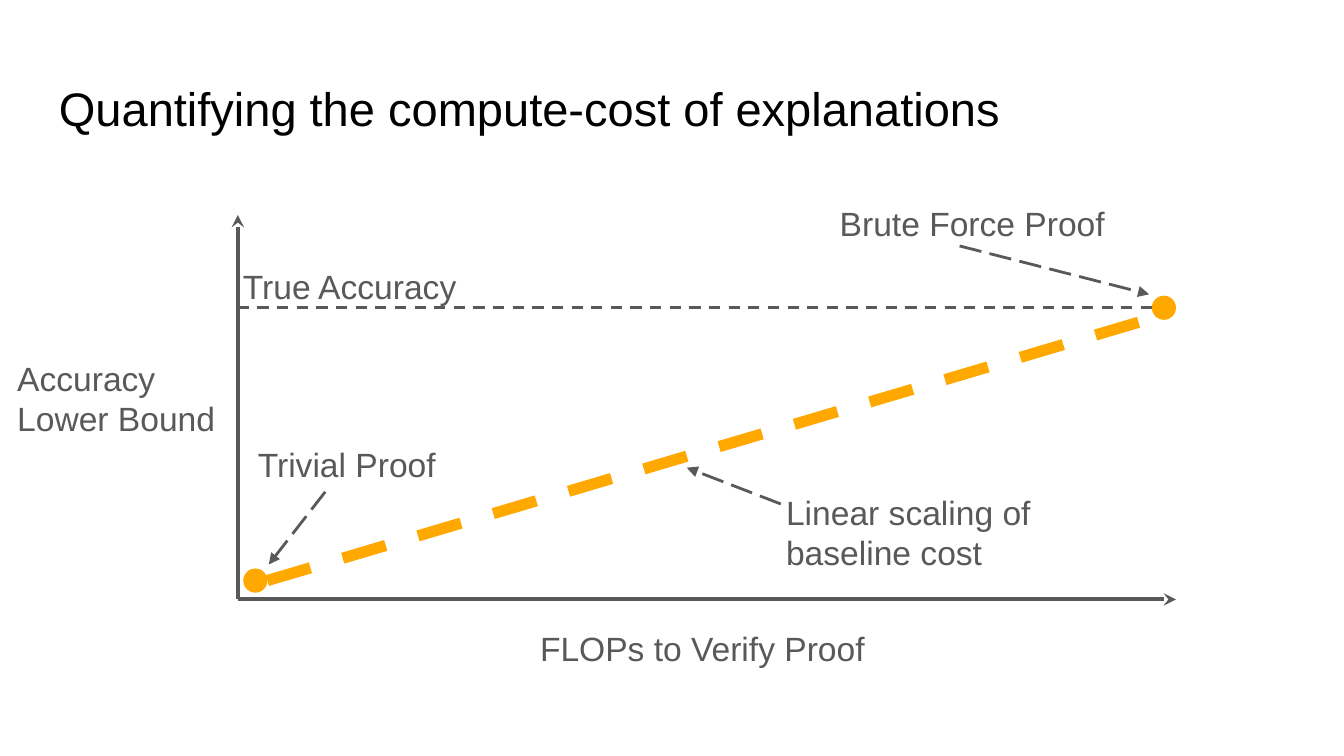
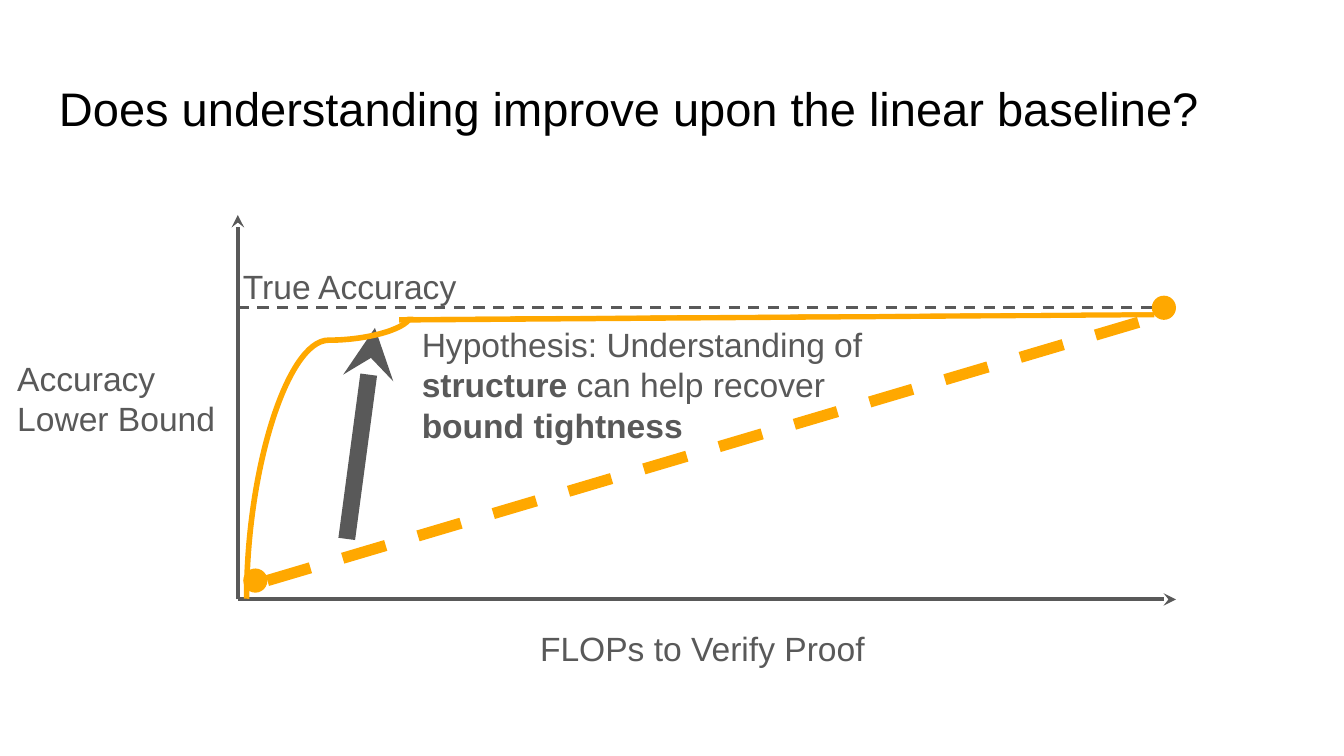
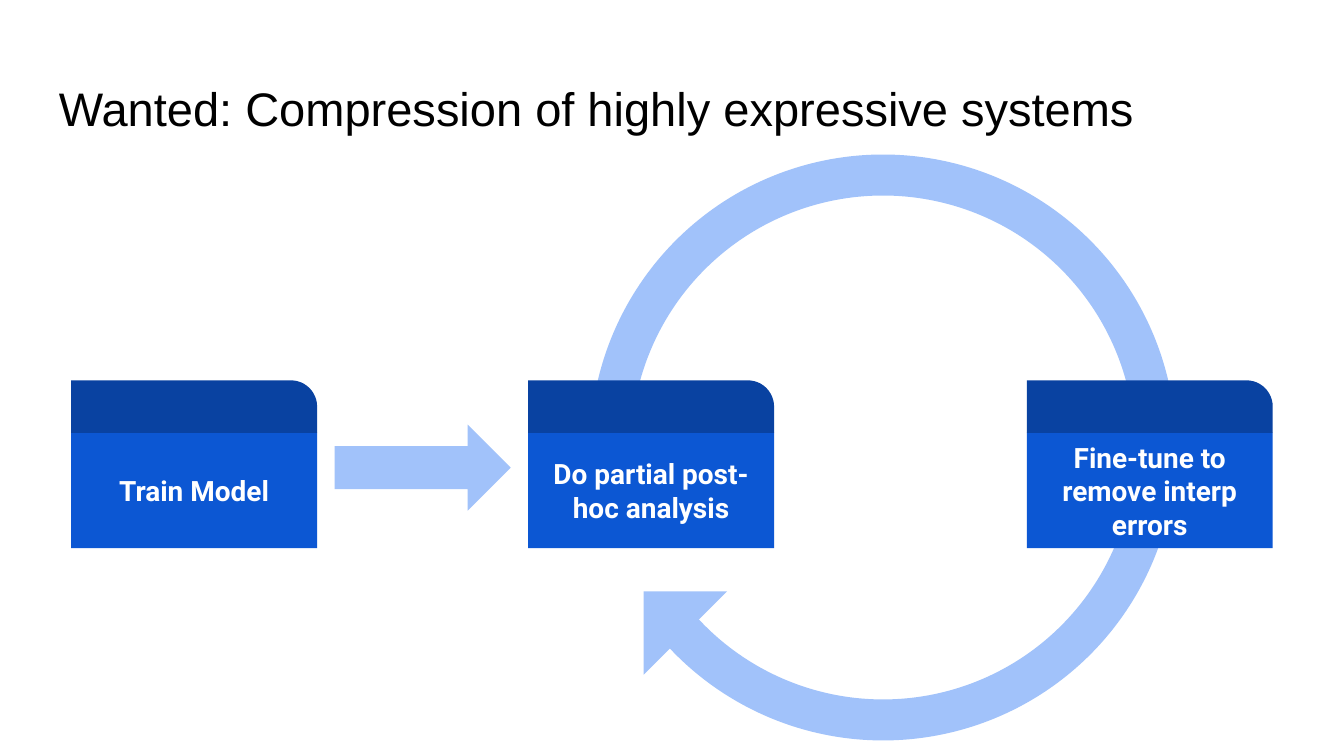
from dataclasses import dataclass
from typing import Optional

from lxml import etree
from pptx import Presentation
from pptx.dml.color import RGBColor
from pptx.enum import dml, shapes, text
from pptx.oxml.ns import qn
from pptx.util import Inches, Pt

BLACK = RGBColor(0x00, 0x00, 0x00)
WHITE = RGBColor(0xFF, 0xFF, 0xFF)
GRAY = RGBColor(0x59, 0x59, 0x59)
ORANGE = RGBColor(0xFF, 0xA8, 0x00)
PALE_BLUE = RGBColor(0xA1, 0xC2, 0xFA)
BLUE = RGBColor(0x0C, 0x57, 0xD3)
NAVY = RGBColor(0x09, 0x42, 0xA1)

BODY_FONT = "Arial"
STAGE_FONT = "Roboto"
INSET = Inches(0.1)
DASH = dml.MSO_LINE.DASH
LONG_DASH = dml.MSO_LINE.LONG_DASH
PRESET = shapes.MSO_SHAPE

SLIDE_WIDTH = Inches(10)
SLIDE_HEIGHT = SLIDE_WIDTH * 9 // 16

AXIS_X, AXIS_Y, AXIS_END = 1.77, 4.46, 8.75
DOT_SIZE = 0.18
STAGE_WIDTH, STAGE_TOP, TAB_HEIGHT, BODY_HEIGHT = 1.83, 2.83, 0.39, 0.86


@dataclass(frozen=True)
class Run:
    words: str
    bold: bool = False


@dataclass(frozen=True)
class Label:
    left: float
    top: float
    width: float
    height: float
    paragraphs: tuple[tuple[Run, ...], ...]


@dataclass(frozen=True)
class Stroke:
    start: tuple[float, float]
    end: tuple[float, float]
    color: RGBColor = GRAY
    width: float = 1.5
    dash: Optional[dml.MSO_LINE] = None
    arrowhead: Optional[str] = None


@dataclass(frozen=True)
class Stage:
    left: float
    caption: str


def line_of(words: str) -> tuple[Run, ...]:
    return (Run(words),)


def pointer(start: tuple[float, float], end: tuple[float, float]) -> Stroke:
    """Dashed arrow from a label to what it names."""
    return Stroke(start, end, dash=LONG_DASH, arrowhead="triangle")


AXES = (
    Stroke((AXIS_X, AXIS_Y), (AXIS_X, 1.6), width=2.25, arrowhead="stealth"),
    Stroke((AXIS_X, AXIS_Y), (AXIS_END, AXIS_Y), width=2.25, arrowhead="stealth"),
)
AXIS_LABELS = (
    Label(3.92, 4.57, 2.68, 0.5, (line_of("FLOPs to Verify Proof"),)),
    Label(0.03, 2.56, 1.74, 0.81, (line_of("Accuracy"), line_of("Lower Bound"))),
)
TRUE_ACCURACY_LABEL = Label(1.71, 1.88, 2.77, 0.5, (line_of("True Accuracy"),))
TRUE_ACCURACY = Stroke((AXIS_X, 2.29), (AXIS_END, 2.29), dash=DASH)
BASELINE = Stroke((1.99, 4.32), (8.6, 2.36), ORANGE, 6, DASH)
PROOF_DOTS = ((1.81, 4.23), (8.57, 2.2))

PROOF_LABELS = (
    Label(6.15, 1.41, 2.46, 0.5, (line_of("Brute Force Proof"),)),
    Label(1.82, 3.2, 1.85, 0.5, (line_of("Trivial Proof"),)),
    Label(5.75, 3.56, 2.68, 0.81, (line_of("Linear scaling of baseline cost"),)),
)
PROOF_POINTERS = (
    pointer((7.14, 1.83), (8.55, 2.19)),
    pointer((2.42, 3.66), (2, 4.2)),
    pointer((5.81, 3.75), (5.11, 3.48)),
)

HYPOTHESIS = Label(3.04, 2.31, 3.56, 1.11, (
    (Run("Hypothesis: Understanding of "), Run("structure", True),
     Run(" can help recover")),
    (Run("bound tightness", True),),
))
IMPROVEMENT = Stroke((2.58, 4.01), (2.79, 2.44), width=9, arrowhead="stealth")
CURVE_RISE = Stroke((1.39, 2.79), (3.5, 4.01), ORANGE, 3)
CURVE_PLATEAU = Stroke((2.97, 2.38), (8.59, 2.34), ORANGE, 3)
CURVE_GAP = Stroke((2.32, 2.34), (8.75, 2.3), WHITE, 3)

STAGES = (
    Stage(7.64, "Fine-tune to remove interp errors"),
    Stage(3.93, "Do partial post-hoc analysis"),
    Stage(0.53, "Train Model"),
)


def set_insets(frame) -> None:
    frame.word_wrap = True
    frame.margin_left = frame.margin_right = INSET
    frame.margin_top = frame.margin_bottom = INSET


def add_run(paragraph, run: Run, font: str, size: float, color: RGBColor) -> None:
    piece = paragraph.add_run()
    piece.text = run.words
    piece.font.name = font
    piece.font.size = Pt(size)
    piece.font.bold = run.bold
    piece.font.color.rgb = color


def draw_label(slide, label: Label, size: float = 18, color: RGBColor = GRAY) -> None:
    box = slide.shapes.add_textbox(Inches(label.left), Inches(label.top),
                                   Inches(label.width), Inches(label.height))
    frame = box.text_frame
    set_insets(frame)
    for index, runs in enumerate(label.paragraphs):
        paragraph = frame.add_paragraph() if index else frame.paragraphs[0]
        for run in runs:
            add_run(paragraph, run, BODY_FONT, size, color)


def draw_stroke(slide, stroke: Stroke,
                kind: shapes.MSO_CONNECTOR = shapes.MSO_CONNECTOR.STRAIGHT):
    connector = slide.shapes.add_connector(
        kind, *(Inches(value) for value in (*stroke.start, *stroke.end)))
    connector.line.color.rgb = stroke.color
    connector.line.width = Pt(stroke.width)
    if stroke.dash is not None:
        connector.line.dash_style = stroke.dash
    properties = connector._element.spPr
    if stroke.arrowhead:
        tail = etree.SubElement(properties.find(qn("a:ln")), qn("a:tailEnd"))
        tail.set("type", stroke.arrowhead)
    etree.SubElement(properties, qn("a:effectLst"))
    return connector


def draw_curve_rise(slide) -> None:
    """Steep S-bend, turned a quarter left, with its bend near the top."""
    curve = draw_stroke(slide, CURVE_RISE, shapes.MSO_CONNECTOR.CURVE)
    properties = curve._element.spPr
    properties.find(qn("a:xfrm")).set("rot", str(270 * 60000))
    bends = properties.find(qn("a:prstGeom")).find(qn("a:avLst"))
    bend = etree.SubElement(bends, qn("a:gd"))
    bend.set("name", "adj1")
    bend.set("fmla", "val 91200")


def draw_shape(slide, preset: shapes.MSO_SHAPE, left: float, top: float,
               width: float, height: float, color: RGBColor,
               adjustments: tuple[float, ...] = (), rotation: float = 0):
    shape = slide.shapes.add_shape(preset, Inches(left), Inches(top),
                                   Inches(width), Inches(height))
    shape.shadow.inherit = False
    shape.fill.solid()
    shape.fill.fore_color.rgb = color
    shape.line.fill.background()
    shape.rotation = rotation
    for index, value in enumerate(adjustments):
        shape.adjustments[index] = value
    return shape


def draw_stage(slide, stage: Stage) -> None:
    body = draw_shape(slide, PRESET.RECTANGLE, stage.left, STAGE_TOP + TAB_HEIGHT,
                      STAGE_WIDTH, BODY_HEIGHT, BLUE)
    frame = body.text_frame
    set_insets(frame)
    frame.vertical_anchor = text.MSO_ANCHOR.MIDDLE
    paragraph = frame.paragraphs[0]
    paragraph.alignment = text.PP_ALIGN.CENTER
    add_run(paragraph, Run(stage.caption, True), STAGE_FONT, 15, WHITE)
    draw_shape(slide, PRESET.ROUND_1_RECTANGLE, stage.left, STAGE_TOP,
               STAGE_WIDTH, TAB_HEIGHT, NAVY, (0.5,))


def add_titled_slide(deck, title: str, title_width: float = 9.66):
    slide = deck.slides.add_slide(deck.slide_layouts[6])
    draw_label(slide, Label(0.34, 0.49, title_width, 0.63, (line_of(title),)),
               25.2, BLACK)
    return slide


def draw_axes(slide) -> None:
    for axis in AXES:
        draw_stroke(slide, axis)
    for label in AXIS_LABELS:
        draw_label(slide, label)


def draw_baseline(slide) -> None:
    """True accuracy level and the linear baseline between the two proofs."""
    draw_label(slide, TRUE_ACCURACY_LABEL)
    draw_stroke(slide, TRUE_ACCURACY)
    draw_stroke(slide, BASELINE)
    for left, top in PROOF_DOTS:
        draw_shape(slide, PRESET.OVAL, left, top, DOT_SIZE, DOT_SIZE, ORANGE)


def build_cost_slide(deck) -> None:
    slide = add_titled_slide(deck, "Quantifying the compute-cost of explanations", 9.32)
    draw_axes(slide)
    draw_baseline(slide)
    for label, arrow in zip(PROOF_LABELS, PROOF_POINTERS):
        draw_label(slide, label)
        draw_stroke(slide, arrow)


def build_hypothesis_slide(deck) -> None:
    slide = add_titled_slide(deck, "Does understanding improve upon the linear baseline?")
    draw_axes(slide)
    draw_stroke(slide, IMPROVEMENT)
    draw_label(slide, HYPOTHESIS)
    draw_curve_rise(slide)
    draw_stroke(slide, CURVE_PLATEAU)
    draw_stroke(slide, CURVE_GAP)
    draw_baseline(slide)


def build_compression_slide(deck) -> None:
    slide = add_titled_slide(deck, "Wanted: Compression of highly expressive systems")
    draw_shape(slide, PRESET.BLOCK_ARC, 4.39, 1.15, 4.36, 4.36, PALE_BLUE,
               (54, 30.13, 0.07), 90)
    draw_shape(slide, PRESET.RIGHT_TRIANGLE, 4.79, 4.4, 0.62, 0.62, PALE_BLUE,
               rotation=90)
    for stage in STAGES:
        draw_stage(slide, stage)
    draw_shape(slide, PRESET.RIGHT_ARROW, 2.49, 3.16, 1.31, 0.64, PALE_BLUE, (0.5, 0.5))


def main() -> None:
    deck = Presentation()
    deck.slide_width, deck.slide_height = SLIDE_WIDTH, SLIDE_HEIGHT
    build_cost_slide(deck)
    build_hypothesis_slide(deck)
    build_compression_slide(deck)
    deck.save("out.pptx")


if __name__ == "__main__":
    main()
